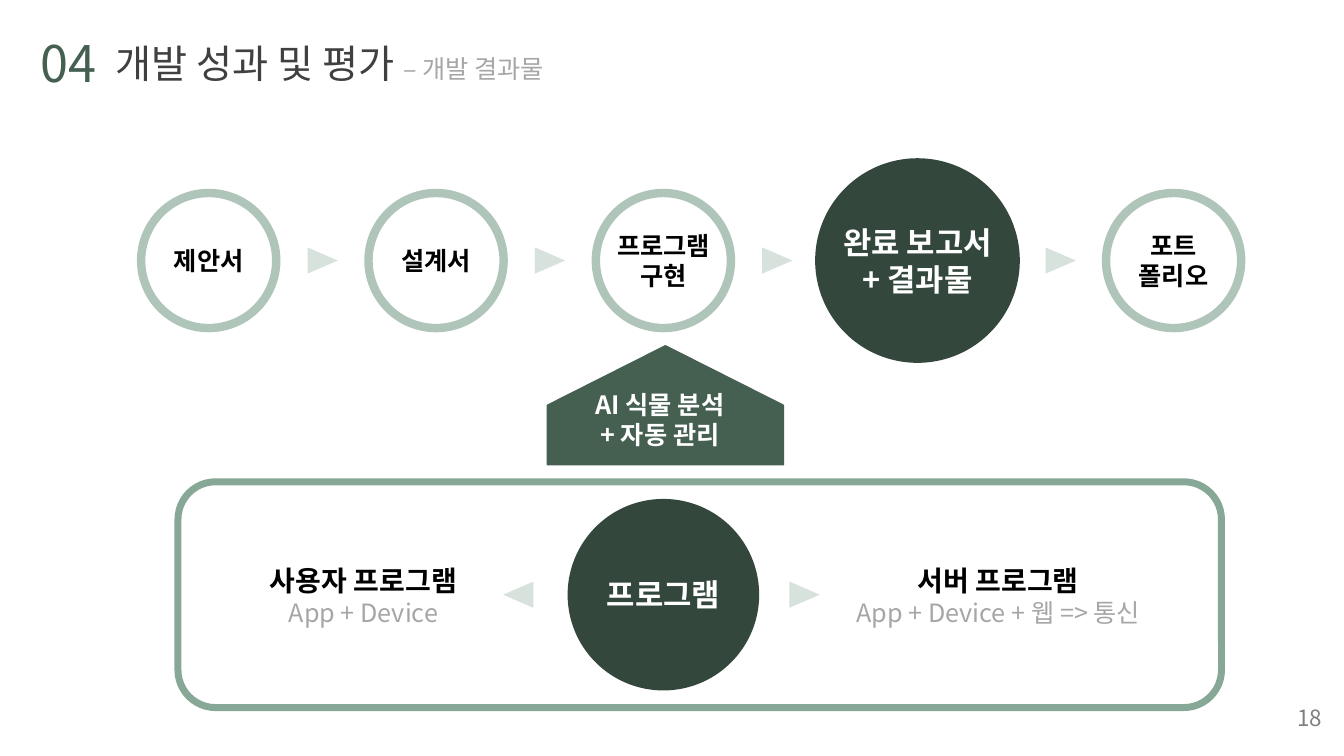
"""Build the development results slide: five stages above a program diagram."""
from dataclasses import dataclass

from lxml import etree
from pptx import Presentation
from pptx.dml.color import RGBColor
from pptx.enum.shapes import MSO_SHAPE
from pptx.enum.text import MSO_ANCHOR, MSO_AUTO_SIZE, PP_ALIGN
from pptx.oxml.ns import qn
from pptx.util import Emu, Inches, Pt

OVAL, TRIANGLE = MSO_SHAPE.OVAL, MSO_SHAPE.ISOSCELES_TRIANGLE
ROUNDED, PENTAGON = MSO_SHAPE.ROUNDED_RECTANGLE, MSO_SHAPE.PENTAGON
TOP, MIDDLE = MSO_ANCHOR.TOP, MSO_ANCHOR.MIDDLE
NO_AUTOFIT = MSO_AUTO_SIZE.NONE
LEFT, CENTER = PP_ALIGN.LEFT, PP_ALIGN.CENTER

FONT = "Noto Sans CJK KR"
BLACK = RGBColor(0x00, 0x00, 0x00)
WHITE = RGBColor(0xFF, 0xFF, 0xFF)
CHARCOAL = RGBColor(0x40, 0x40, 0x40)
GRAY = RGBColor(0x80, 0x80, 0x80)
SILVER = RGBColor(0xA6, 0xA6, 0xA6)
FOREST = RGBColor(0x34, 0x47, 0x3D)
GREEN = RGBColor(0x45, 0x5F, 0x51)
SAGE = RGBColor(0x87, 0xA8, 0x96)
MIST = RGBColor(0xAF, 0xC5, 0xB9)
PALE = RGBColor(0xD7, 0xE2, 0xDC)

CELL = Inches(0.1)
STAGE_ROW, PROGRAM_ROW = 25.85, 59
FIRST_STAGE, STAGE_STEP, ARROW_OFFSET = 20.7, 22.55, 11.3
PROGRAM_COLUMN = FIRST_STAGE + 2 * STAGE_STEP


@dataclass(frozen=True)
class Style:
    """Look of one run of text."""
    size: int
    color: RGBColor
    bold: bool = False


@dataclass(frozen=True)
class Figure:
    """Shape placed by its centre, in grid columns and rows."""
    kind: MSO_SHAPE
    column: float
    row: float
    width: float
    height: float
    fill: RGBColor | None = None
    line: RGBColor | None = None
    weight: float = 0
    turn: int = 0
    text: str = ""
    style: Style | None = None


@dataclass(frozen=True)
class Label:
    """Text box placed by its left top corner, with one style a paragraph."""
    left: float
    top: float
    width: float
    height: float
    text: str
    styles: tuple[Style, ...]
    align: PP_ALIGN = CENTER


STAGE = Style(18, BLACK, True)
DARK_DISC = Style(22, WHITE, True)
BANNER = Style(18, WHITE, True)
HEADING = Style(20, BLACK, True)
DETAIL = Style(18, SILVER)


def ring(column: float, text: str) -> Figure:
    """Describe an outlined stage circle."""
    return Figure(OVAL, column, STAGE_ROW, 13.4, 13.4, line=MIST, weight=6,
                  text=text, style=STAGE)


def disc(column: float, row: float, size: float, text: str) -> Figure:
    """Describe a dark filled circle."""
    return Figure(OVAL, column, row, size, size, fill=FOREST,
                  text=text, style=DARK_DISC)


def arrow(column: float, row: float, turn: int = 90) -> Figure:
    """Describe a small pale pointer."""
    return Figure(TRIANGLE, column, row, 2.6, 3, fill=PALE, turn=turn)


STAGES = ("제안서", "설계서", "프로그램 구현")
STAGE_COLUMNS = [FIRST_STAGE + place * STAGE_STEP for place in range(len(STAGES))]
FIGURES = [
    *(ring(column, text) for column, text in zip(STAGE_COLUMNS, STAGES)),
    *(arrow(column + ARROW_OFFSET, STAGE_ROW) for column in STAGE_COLUMNS),
    disc(91, STAGE_ROW, 20.3, "완료 보고서\n+ 결과물"),
    arrow(105.2, STAGE_ROW),
    ring(116.4, "포트\n폴리오"),
    Figure(ROUNDED, 69.4, PROGRAM_ROW, 103.5, 22.4, line=SAGE, weight=5),
    disc(PROGRAM_COLUMN, PROGRAM_ROW, 19, "프로그램"),
    arrow(51.4, PROGRAM_ROW, 270),
    arrow(79.8, PROGRAM_ROW),
    Figure(PENTAGON, 66, 40.2, 11.8, 23.4, fill=GREEN, line=GREEN, weight=1, turn=270),
]
LABELS = [
    Label(3, 2.7, 8.8, 7.1, "04", (Style(36, GREEN),), LEFT),
    Label(54.2, 38.1, 22.5, 7.1, "AI 식물 분석\n+ 자동 관리", (BANNER, BANNER)),
    Label(25.5, 55.4, 21.1, 7.4, "사용자 프로그램\nApp + Device", (HEADING, DETAIL)),
    Label(82.9, 55.4, 32.2, 7.4, "서버 프로그램\nApp + Device + 웹 => 통신",
          (HEADING, DETAIL)),
    Label(127.7, 69.4, 5.6, 3.7, "18", (Style(16, GRAY),), LEFT),
]


def grid(cells: float) -> Emu:
    """Turn grid cells into a length."""
    return Emu(round(cells * CELL))


def style_run(span, style: Style) -> None:
    """Format one run for Latin and Korean letters."""
    span.font.size = Pt(style.size)
    span.font.bold = style.bold
    span.font.color.rgb = style.color
    span.font.name = FONT
    etree.SubElement(span.font._element, qn("a:ea"), typeface=FONT)


def style_paragraphs(frame, styles: tuple[Style, ...], align: PP_ALIGN) -> None:
    """Format each paragraph with its own style."""
    for para, style in zip(frame.paragraphs, styles):
        para.alignment = align
        for span in para.runs:
            style_run(span, style)


def draw_figure(page, figure: Figure) -> None:
    """Draw a shape with its optional text."""
    box = page.shapes.add_shape(
        figure.kind, grid(figure.column - figure.width / 2),
        grid(figure.row - figure.height / 2), grid(figure.width), grid(figure.height))
    box.shadow.inherit = False
    box.rotation = figure.turn
    if figure.fill is None:
        box.fill.background()
    else:
        box.fill.solid()
        box.fill.fore_color.rgb = figure.fill
    if figure.line is None:
        box.line.fill.background()
    else:
        box.line.color.rgb = figure.line
        box.line.width = Pt(figure.weight)
    if figure.style is not None:
        frame = box.text_frame
        frame.margin_left = frame.margin_right = frame.margin_top = frame.margin_bottom = 0
        frame.vertical_anchor = MIDDLE
        frame.word_wrap = "\n" not in figure.text
        frame.text = figure.text
        style_paragraphs(frame, (figure.style,) * len(frame.paragraphs), CENTER)


def draw_label(page, label: Label) -> None:
    """Draw a text box."""
    box = page.shapes.add_textbox(grid(label.left), grid(label.top),
                                  grid(label.width), grid(label.height))
    frame = box.text_frame
    frame.word_wrap = True
    frame.text = label.text
    style_paragraphs(frame, label.styles, label.align)


def draw_title(page) -> None:
    """Fill the title placeholder with the heading and its subtitle."""
    title = page.shapes.title
    title.left, title.top = grid(10.5), grid(3.4)
    title.width, title.height = grid(68.8), grid(5.7)
    frame = title.text_frame
    frame.auto_size = NO_AUTOFIT
    frame.vertical_anchor = TOP
    frame.text = "개발 성과 및 평가 "
    para = frame.paragraphs[0]
    style_paragraphs(frame, (Style(28, CHARCOAL),), LEFT)
    subtitle = para.add_run()
    subtitle.text = "– 개발 결과물"
    style_run(subtitle, DETAIL)


def main() -> None:
    """Build and save the deck."""
    deck = Presentation()
    deck.slide_width, deck.slide_height = Inches(13.33), Inches(7.5)
    page = deck.slides.add_slide(deck.slide_layouts[5])
    draw_title(page)
    for figure in FIGURES:
        draw_figure(page, figure)
    for label in LABELS:
        draw_label(page, label)
    deck.save("out.pptx")


if __name__ == "__main__":
    main()
